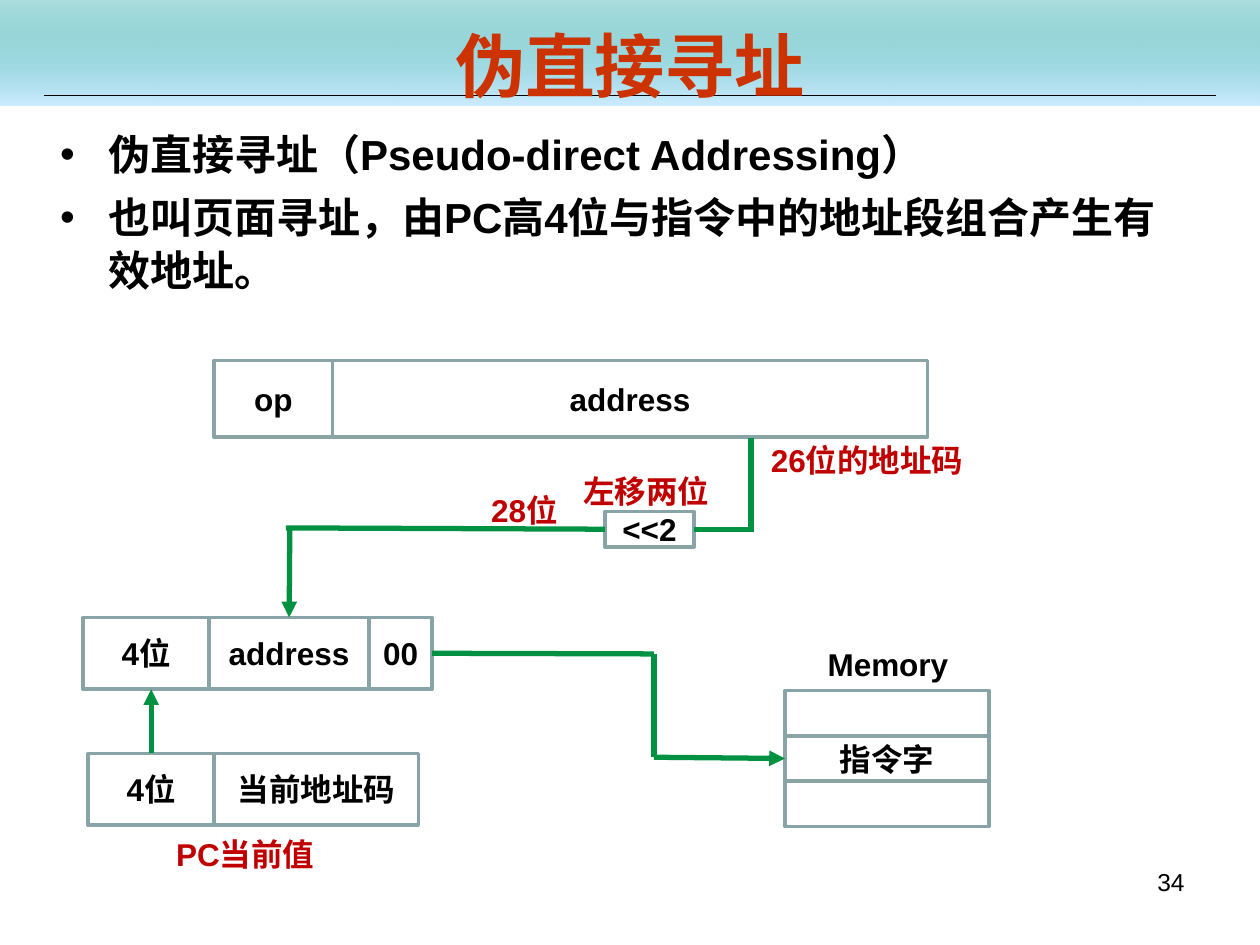
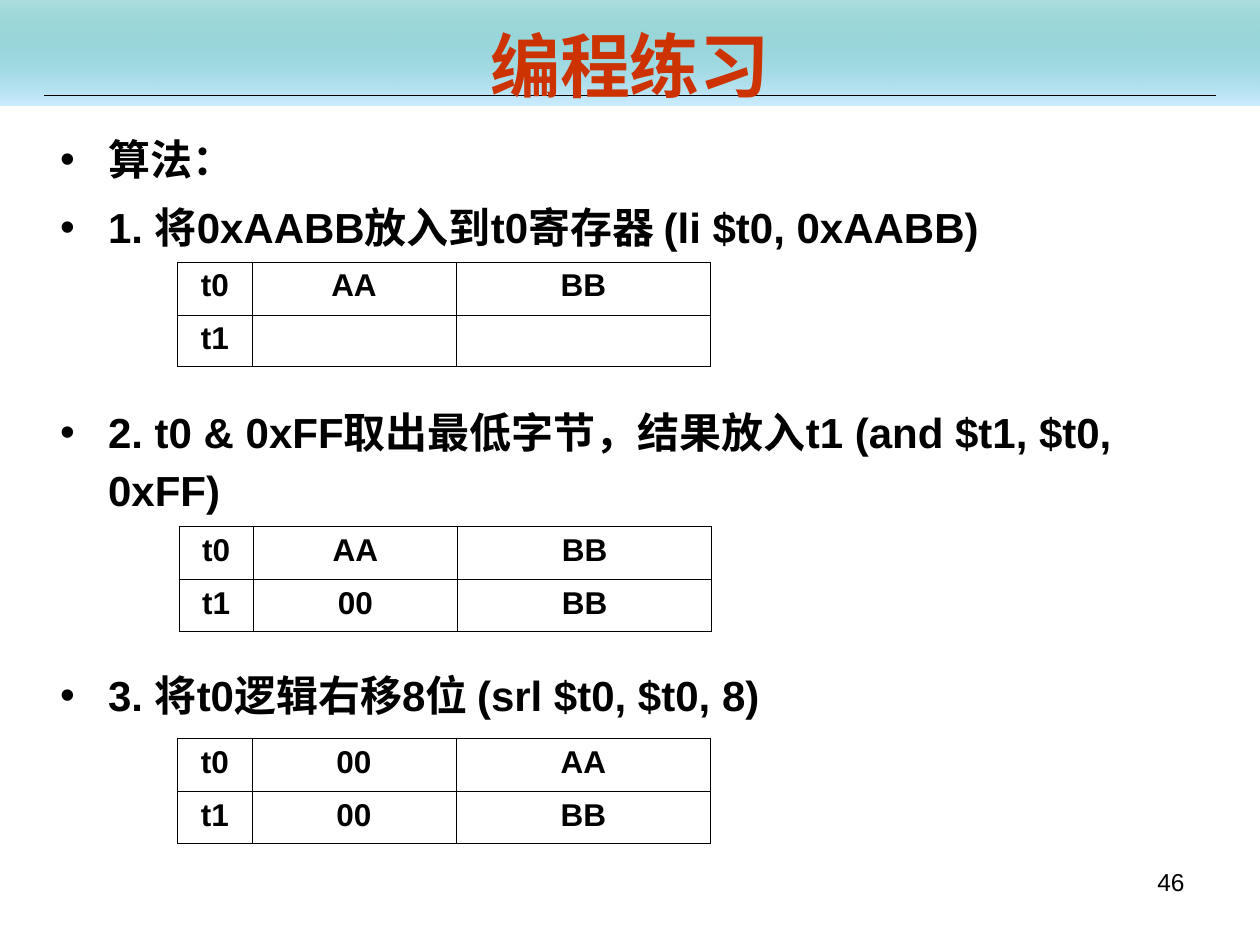
"""Build two lecture slides on pseudo-direct addressing and a register exercise."""
from lxml.etree import SubElement
from pptx import Presentation
from pptx.dml.color import RGBColor
from pptx.enum.shapes import MSO_CONNECTOR, MSO_SHAPE
from pptx.enum.text import MSO_ANCHOR, MSO_AUTO_SIZE, PP_ALIGN
from pptx.oxml.ns import qn
from pptx.util import Inches, Pt

COLORS = {
    "text": "000000", "title": "CC3300", "label": "C00000",
    "frame": "89A4A7", "wire": "009242",
    "band_top": "009999", "band_bottom": "CCECFF",
}
FONT = "Arial"
COLUMNS, ROWS = 100, 75
TOP, LEFT, BOTTOM, RIGHT = range(4)


class Lecture:
    """Hold the deck, its style and the current page, measured in grid cells."""

    def __init__(self):
        self.deck = Presentation()
        self.deck.slide_width, self.deck.slide_height = Inches(10), Inches(7.5)
        self.column = self.deck.slide_width / COLUMNS
        self.row = self.deck.slide_height / ROWS
        self.page = None

    def place(self, x, y):
        return round(x * self.column), round(y * self.row)

    def area(self, x, y, width, height):
        return *self.place(x, y), *self.place(width, height)

    def color(self, name):
        return RGBColor.from_string(COLORS[name])

    def style(self, para, size, color="text", bold=True, align=PP_ALIGN.LEFT):
        para.alignment = align
        for span in para.runs:
            span.font.name = FONT
            span.font.size = Pt(size)
            span.font.bold = bold
            span.font.color.rgb = self.color(color)

    def start_page(self, title, number):
        self.page = self.deck.slides.add_slide(self.deck.slide_layouts[6])
        self.band()
        self.line((3.5, 7.6), (96.5, 7.6), "text", 0.75)
        heading = self.text((5, 2.1, 90, 6.1), title, 40, "title", align=PP_ALIGN.CENTER)
        heading.text_frame.vertical_anchor = MSO_ANCHOR.MIDDLE
        self.text((71.7, 68.3, 23.3, 5.2), number, 14, bold=False, align=PP_ALIGN.RIGHT)

    def band(self):
        band = self.page.shapes.add_shape(
            MSO_SHAPE.RECTANGLE, *self.area(0, 0, COLUMNS, 8.4))
        band.shadow.inherit = False
        band.line.fill.background()
        band.fill.gradient()
        band.fill.gradient_angle = 270
        for stop, name, position in zip(
                band.fill.gradient_stops, ("band_top", "band_bottom"), (0, 1)):
            stop.color.rgb = self.color(name)
            stop.position = position
        first = next(band.element.iter(qn("a:srgbClr")))
        SubElement(first, qn("a:alpha"), val="32000")

    def text(self, area, words, size, color="text", bold=True, align=PP_ALIGN.LEFT):
        box = self.page.shapes.add_textbox(*self.area(*area))
        box.text_frame.word_wrap = True
        box.text_frame.text = words
        self.style(box.text_frame.paragraphs[0], size, color, bold, align)
        return box

    def label(self, x, y, width, words, color="label"):
        frame = self.text((x, y, width, 4), words, 18, color).text_frame
        frame.word_wrap = False
        frame.auto_size = MSO_AUTO_SIZE.SHAPE_TO_FIT_TEXT

    def bullets(self, height, items, spacing):
        box = self.page.shapes.add_textbox(*self.area(3.8, 9.5, 90, height))
        frame = box.text_frame
        frame.word_wrap = True
        frame.text = "\n".join(words for words, gap in items)
        for para, (words, gap) in zip(frame.paragraphs, items):
            settings = para._p.get_or_add_pPr()
            settings.set("marL", str(Inches(0.38)))
            settings.set("indent", str(-Inches(0.38)))
            tint = SubElement(settings, qn("a:buClr"))
            SubElement(tint, qn("a:srgbClr"), val=COLORS["text"])
            SubElement(settings, qn("a:buFont"), typeface=FONT)
            SubElement(settings, qn("a:buChar"), char="•")
            para.line_spacing = spacing
            para.space_before = Pt(gap)
            self.style(para, 24)

    def field(self, x, y, width, height, words=""):
        box = self.page.shapes.add_shape(
            MSO_SHAPE.RECTANGLE, *self.area(x, y, width, height))
        box.shadow.inherit = False
        box.fill.background()
        box.line.color.rgb = self.color("frame")
        box.line.width = Pt(2)
        if words:
            box.text_frame.text = words
            box.text_frame.word_wrap = True
            box.text_frame.vertical_anchor = MSO_ANCHOR.MIDDLE
            self.style(box.text_frame.paragraphs[0], 18, align=PP_ALIGN.CENTER)
        return box

    def fields(self, x, y, height, parts):
        boxes = []
        for width, words in parts:
            boxes.append(self.field(x, y, width, height, words))
            x += width
        return boxes

    def line(self, start, end, color="wire", weight=3, arrow=False,
             from_side=None, to_side=None):
        wire = self.page.shapes.add_connector(
            MSO_CONNECTOR.STRAIGHT, *self.place(*start), *self.place(*end))
        wire.line.color.rgb = self.color(color)
        wire.line.width = Pt(weight)
        if arrow:
            SubElement(wire.line._get_or_add_ln(), qn("a:tailEnd"), type="triangle")
        SubElement(wire.element.spPr, qn("a:effectLst"))
        if from_side:
            wire.begin_connect(*from_side)
        if to_side:
            wire.end_connect(*to_side)

    def registers(self, x, y, values):
        widths, heights = (5.9, 16.2, 20.2), (4.2, 4.1)
        table = self.page.shapes.add_table(
            len(heights), len(widths),
            *self.area(x, y, sum(widths), sum(heights))).table
        table.first_row = table.horz_banding = False
        for column, width in zip(table.columns, widths):
            column.width = round(width * self.column)
        for row, height, words in zip(table.rows, heights, values):
            row.height = round(height * self.row)
            for cell, word in zip(row.cells, words):
                cell.text = word
                self.style(cell.text_frame.paragraphs[0], 18, align=PP_ALIGN.CENTER)
                self.borders(cell)
                cell.fill.background()

    def borders(self, cell):
        settings = cell._tc.get_or_add_tcPr()
        for side in ("lnL", "lnR", "lnT", "lnB"):
            edge = SubElement(settings, qn(f"a:{side}"), w=str(Pt(0.45)))
            fill = SubElement(edge, qn("a:solidFill"))
            SubElement(fill, qn("a:srgbClr"), val=COLORS["text"])


def addressing_page(lecture):
    lecture.start_page("伪直接寻址", "34")
    lecture.bullets(15.4, [
        ("伪直接寻址（Pseudo-direct Addressing）", 0),
        ("也叫页面寻址，由PC高4位与指令中的地址段组合产生有效地址。", 6),
    ], 1.05)

    lecture.fields(17, 28.6, 6.1, [(9.4, "op"), (47.2, "address")])
    shifter = lecture.field(48, 40.6, 7.1, 2.8, "<<2")
    target = lecture.fields(6.6, 49, 5.7, [(10, "4位"), (12.7, "address"), (5, "00")])
    counter = lecture.fields(7, 59.8, 5.7, [(10, "4位"), (16.2, "当前地址码")])
    memory = [lecture.field(62.3, 54.8 + 3.6 * index, 16.2, 3.6, words)
              for index, words in enumerate(("", "指令字", ""))]

    lecture.line((59.6, 34.8), (59.6, 42.2))
    lecture.line((59.8, 42), (55.1, 42), to_side=(shifter, RIGHT))
    lecture.line((48, 42), (22.7, 41.9), from_side=(shifter, LEFT))
    lecture.line((23, 42), (23, 49), arrow=True, to_side=(target[1], TOP))
    lecture.line((12, 59.8), (12, 54.7), arrow=True, from_side=(counter[0], TOP))
    lecture.line((34.3, 51.9), (51.9, 51.9), from_side=(target[2], RIGHT))
    lecture.line((51.9, 51.9), (51.9, 60.1))
    lecture.line((51.9, 60.1), (62.3, 60.2), arrow=True, to_side=(memory[1], LEFT))

    lecture.label(60.2, 34.5, 17.9, "26位的地址码")
    lecture.label(45.3, 37, 12, "左移两位")
    lecture.label(38, 38.5, 7.9, "28位")
    lecture.label(13, 65.8, 13.5, "PC当前值")
    lecture.label(64.7, 50.7, 11.6, "Memory", "text")


def exercise_page(lecture):
    lecture.start_page("编程练习", "46")
    table_gap = 84
    lecture.bullets(57, [
        ("算法：", 0),
        ("1. 将0xAABB放入到t0寄存器 (li $t0, 0xAABB)", 6),
        ("2. t0 & 0xFF取出最低字节，结果放入t1 (and $t1, $t0, 0xFF)", table_gap),
        ("3. 将t0逻辑右移8位 (srl $t0, $t0, 8)", table_gap),
    ], 1.15)
    lecture.registers(14.1, 20.8, [("t0", "AA", "BB"), ("t1", "", "")])
    lecture.registers(14.2, 41.8, [("t0", "AA", "BB"), ("t1", "00", "BB")])
    lecture.registers(14.1, 58.6, [("t0", "00", "AA"), ("t1", "00", "BB")])


def main():
    lecture = Lecture()
    addressing_page(lecture)
    exercise_page(lecture)
    lecture.deck.save("out.pptx")


if __name__ == "__main__":
    main()
